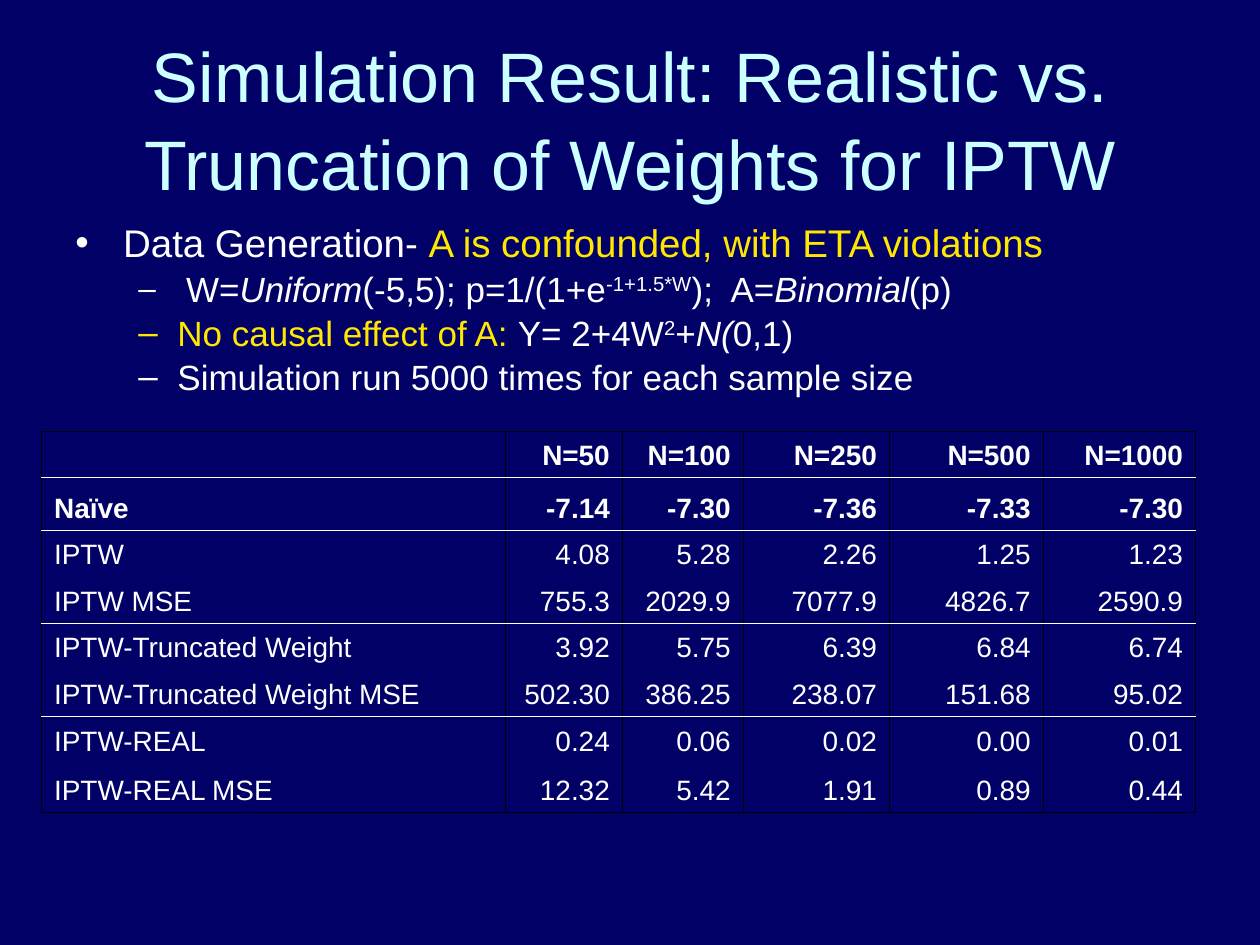
"""Build the slide comparing realistic IPTW with truncation of weights."""
from dataclasses import dataclass
from typing import Optional

import lxml.etree
import pptx
import pptx.dml.color
import pptx.enum.text
import pptx.oxml.ns
import pptx.util

COLORS = {"navy": "000066", "ice": "CCFFFF", "white": "FFFFFF", "yellow": "FFE701", "black": "000000"}
FONT = "Arial"
WIDTH, HEIGHT = pptx.util.Inches(10), pptx.util.Inches(7.5)
COLUMNS = (3.68, 0.93, 0.96, 1.16, 1.22, 1.21)
ROWS = (0.37, 0.42, 0.37, 0.37, 0.37, 0.37, 0.37, 0.39)
BOLD_ROWS = 2
RULES = ("black", "white", "white", None, "white", None, "white", None, "black")
RESULTS = (
    ("", "N=50", "N=100", "N=250", "N=500", "N=1000"),
    ("Naïve", "-7.14", "-7.30", "-7.36", "-7.33", "-7.30"),
    ("IPTW", "4.08", "5.28", "2.26", "1.25", "1.23"),
    ("IPTW MSE", "755.3", "2029.9", "7077.9", "4826.7", "2590.9"),
    ("IPTW-Truncated Weight", "3.92", "5.75", "6.39", "6.84", "6.74"),
    ("IPTW-Truncated Weight MSE", "502.30", "386.25", "238.07", "151.68", "95.02"),
    ("IPTW-REAL", "0.24", "0.06", "0.02", "0.00", "0.01"),
    ("IPTW-REAL MSE", "12.32", "5.42", "1.91", "0.89", "0.44"),
)


@dataclass(frozen=True)
class Piece:
    """A stretch of text in one style."""
    text: str
    color: str = "white"
    italic: bool = False
    raised: bool = False
    size: Optional[float] = None


@dataclass(frozen=True)
class Level:
    """The look of one outline level."""
    bullet: str
    size: float
    before: float
    margin: float
    hanging: float


@dataclass(frozen=True)
class Point:
    """One bulleted line."""
    depth: int
    pieces: tuple[Piece, ...]


LEVELS = (Level("•", 22, 5.5, 0.38, 0.38), Level("–", 20, 5, 0.81, 0.31))
POINTS = (
    Point(0, (Piece("Data Generation- "), Piece("A is confounded, with ETA violations", "yellow"))),
    Point(1, (Piece(" ", size=18), Piece("W="), Piece("Uniform", italic=True),
              Piece("(-5,5); p=1/(1+e"), Piece("-1+1.5*W", raised=True),
              Piece(");  A="), Piece("Binomial", italic=True), Piece("(p)"))),
    Point(1, (Piece("No causal effect of A: ", "yellow"), Piece("Y= 2+4W"),
              Piece("2", raised=True), Piece("+"), Piece("N(", italic=True), Piece("0,1)"))),
    Point(1, (Piece("Simulation run 5000 times for each sample size"),)),
)


def rgb(name: str) -> pptx.dml.color.RGBColor:
    """Look up a palette colour."""
    return pptx.dml.color.RGBColor.from_string(COLORS[name])


def share(left: float, top: float, width: float, height: float) -> tuple[int, ...]:
    """Turn shares of the slide's size into a box."""
    return int(left * WIDTH), int(top * HEIGHT), int(width * WIDTH), int(height * HEIGHT)


def add_node(parent, tag: str, **attributes: str):
    """Append a DrawingML element."""
    return lxml.etree.SubElement(parent, pptx.oxml.ns.qn(tag), attributes)


def style(font, size: float, color: str, bold: bool = False) -> None:
    """Set the face, size, weight and colour of a font."""
    font.name, font.size, font.bold = FONT, pptx.util.Pt(size), bold
    font.color.rgb = rgb(color)


def draw_title(slide, text: str) -> None:
    """Place and format the title placeholder."""
    title = slide.shapes.title
    title.left, title.top, title.width, title.height = share(0.05, 0.04, 0.9, 1 / 6)
    frame = title.text_frame
    frame.text = text
    frame.auto_size = pptx.enum.text.MSO_AUTO_SIZE.NONE
    frame.vertical_anchor = pptx.enum.text.MSO_ANCHOR.MIDDLE
    heading = frame.paragraphs[0]
    heading.alignment = pptx.enum.text.PP_ALIGN.CENTER
    heading.line_spacing = 1.05
    style(heading.font, 40, "ice")


def draw_point(paragraph, point: Point) -> None:
    """Write one bulleted line."""
    level = LEVELS[point.depth]
    paragraph.level = point.depth
    paragraph.line_spacing = 0.84
    paragraph.space_before = pptx.util.Pt(level.before)
    properties = paragraph._p.get_or_add_pPr()
    properties.set("marL", str(pptx.util.Inches(level.margin)))
    properties.set("indent", str(-pptx.util.Inches(level.hanging)))
    bullet_color = add_node(properties, "a:buClr")
    add_node(bullet_color, "a:srgbClr", val=COLORS[point.pieces[0].color])
    add_node(properties, "a:buFont", typeface=FONT)
    add_node(properties, "a:buChar", char=level.bullet)
    style(paragraph.font, level.size, "white")
    for piece in point.pieces:
        run = paragraph.add_run()
        run.text = piece.text
        run.font.color.rgb = rgb(piece.color)
        if piece.italic:
            run.font.italic = True
        if piece.size:
            run.font.size = pptx.util.Pt(piece.size)
        if piece.raised:
            run._r.get_or_add_rPr().set("baseline", "30000")


def draw_points(slide) -> None:
    """Place the outline of the data generation."""
    outline = slide.shapes.add_textbox(*share(0.05, 0.233, 0.933, 0.21)).text_frame
    outline.word_wrap = True
    for index, point in enumerate(POINTS):
        draw_point(outline.add_paragraph() if index else outline.paragraphs[0], point)


def draw_border(cell, side: str, color: Optional[str]) -> None:
    """Rule one side of a cell, or leave it open."""
    line = add_node(cell._tc.get_or_add_tcPr(), f"a:ln{side}", w=str(pptx.util.Pt(0.45)))
    if color:
        add_node(add_node(line, "a:solidFill"), "a:srgbClr", val=COLORS[color])
    else:
        add_node(line, "a:noFill")


def draw_cell(cell, text: str, row: int, column: int) -> None:
    """Fill and rule one cell of the results."""
    borders = {"L": "black", "R": "black", "T": RULES[row], "B": RULES[row + 1]}
    for side, color in borders.items():
        draw_border(cell, side, color)
    cell.fill.background()
    cell.vertical_anchor = pptx.enum.text.MSO_ANCHOR.BOTTOM
    cell.text = text
    entry = cell.text_frame.paragraphs[0]
    entry.alignment = pptx.enum.text.PP_ALIGN.RIGHT if column else pptx.enum.text.PP_ALIGN.LEFT
    style(entry.font, 16, "white", row < BOLD_ROWS)


def draw_results(slide) -> None:
    """Place the table of simulation results."""
    box = share(0.033, 0.456, sum(COLUMNS) / 10, sum(ROWS) / 7.5)
    results = slide.shapes.add_table(len(ROWS), len(COLUMNS), *box).table
    results.first_row = results.horz_banding = False
    for column, width in zip(results.columns, COLUMNS):
        column.width = pptx.util.Inches(width)
    for row, height in zip(results.rows, ROWS):
        row.height = pptx.util.Inches(height)
    for row, texts in enumerate(RESULTS):
        for column, text in enumerate(texts):
            draw_cell(results.cell(row, column), text, row, column)


def main() -> None:
    """Build and save the slide."""
    deck = pptx.Presentation()
    deck.slide_width, deck.slide_height = WIDTH, HEIGHT
    slide = deck.slides.add_slide(deck.slide_layouts[5])
    slide.background.fill.solid()
    slide.background.fill.fore_color.rgb = rgb("navy")
    draw_title(slide, "Simulation Result: Realistic vs. Truncation of Weights for IPTW")
    draw_points(slide)
    draw_results(slide)
    deck.save("out.pptx")


if __name__ == "__main__":
    main()
